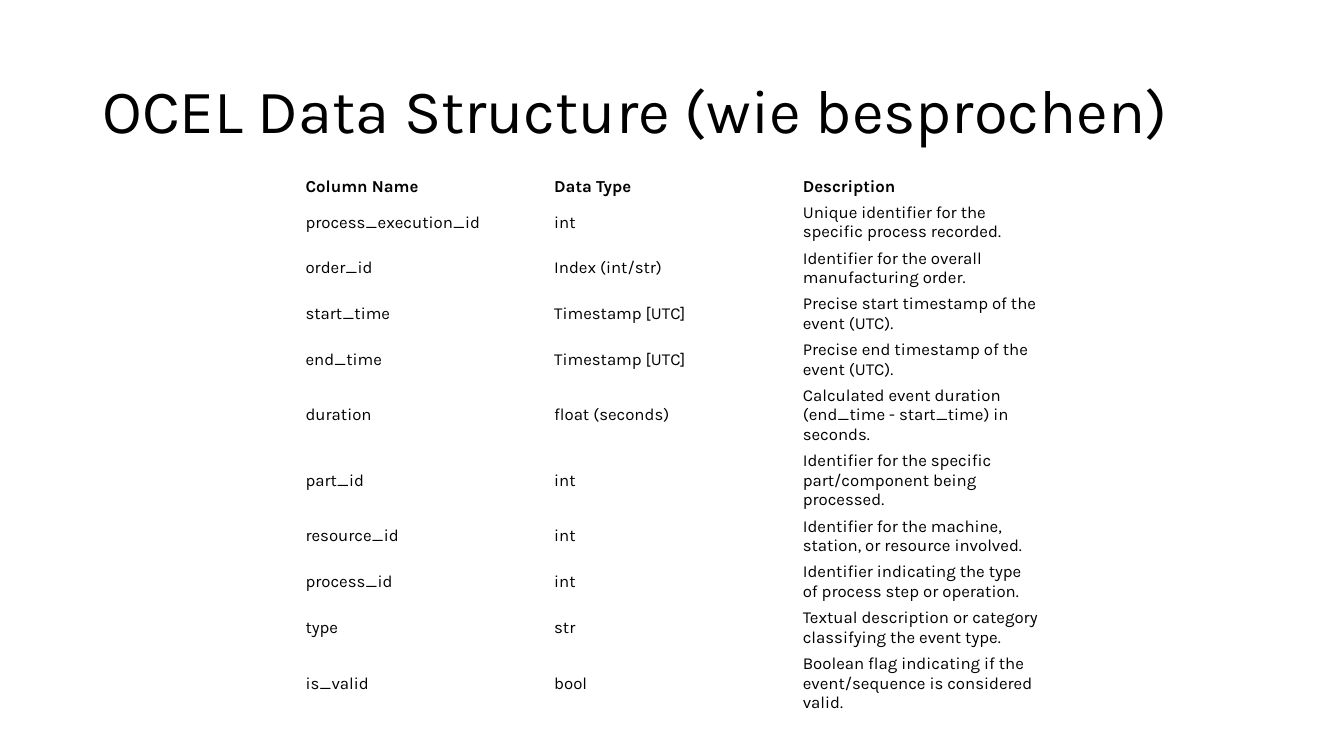
"""Build a slide with the column overview of the OCEL data structure."""
from lxml.etree import SubElement
from pptx import Presentation
from pptx.dml.color import RGBColor
from pptx.enum.text import MSO_ANCHOR, MSO_AUTO_SIZE, PP_ALIGN
from pptx.oxml.ns import qn
from pptx.util import Pt

TITLE = "OCEL Data Structure (wie besprochen)"
ROWS = [
    ("Column Name", "Data Type", "Description"),
    ("process_execution_id", "int", "Unique identifier for the specific process recorded."),
    ("order_id", "Index (int/str)", "Identifier for the overall manufacturing order."),
    ("start_time", "Timestamp [UTC]", "Precise start timestamp of the event (UTC)."),
    ("end_time", "Timestamp [UTC]", "Precise end timestamp of the event (UTC)."),
    ("duration", "float (seconds)", "Calculated event duration (end_time - start_time) in seconds."),
    ("part_id", "int", "Identifier for the specific part/component being processed."),
    ("resource_id", "int", "Identifier for the machine, station, or resource involved."),
    ("process_id", "int", "Identifier indicating the type of process step or operation."),
    ("type", "str", "Textual description or category classifying the event type."),
    ("is_valid", "bool", "Boolean flag indicating if the event/sequence is considered valid."),
]

BLACK = RGBColor(0x00, 0x00, 0x00)
WHITE = RGBColor(0xFF, 0xFF, 0xFF)
FONT = "Karla"
TITLE_BOX = {"left": Pt(66), "top": Pt(28.75), "width": Pt(828), "height": Pt(104.4)}
TITLE_FRAME = {"vertical_anchor": MSO_ANCHOR.MIDDLE, "word_wrap": True,
               "auto_size": MSO_AUTO_SIZE.NONE}
TITLE_PARAGRAPH = {"alignment": PP_ALIGN.LEFT, "line_spacing": 0.9}
CELL_FORMAT = {"margin_left": Pt(4.5), "margin_right": Pt(4.5), "margin_top": Pt(2.3),
               "margin_bottom": Pt(2.3), "vertical_anchor": MSO_ANCHOR.MIDDLE}
TABLE_FLAGS = {"first_row": False, "horz_banding": False}
TABLE_LEFT, TABLE_TOP = 213.8, 123.9
COLUMN_WIDTH, HEADER_HEIGHT, ROW_HEIGHT = 177.6, 18.6, 32.6
BORDER_WIDTH = Pt(0.75)


def apply_format(target, values):
    for name, value in values.items():
        setattr(target, name, value)


def format_font(font, size, bold=False):
    apply_format(font, {"name": FONT, "size": Pt(size), "bold": bold})
    font.color.rgb = BLACK


def add_borders(cell):
    properties = cell._tc.get_or_add_tcPr()
    for position, side in enumerate(("lnL", "lnR", "lnT", "lnB")):
        line = properties.makeelement(qn(f"a:{side}"), {"w": str(BORDER_WIDTH)})
        fill = SubElement(line, qn("a:solidFill"))
        SubElement(fill, qn("a:srgbClr"), val=str(WHITE))
        properties.insert(position, line)


def add_title(slide):
    title = slide.shapes.title
    apply_format(title, TITLE_BOX)
    apply_format(title.text_frame, TITLE_FRAME)
    paragraph = title.text_frame.paragraphs[0]
    apply_format(paragraph, TITLE_PARAGRAPH)
    run = paragraph.add_run()
    run.text = TITLE
    format_font(run.font, 44)


def add_column_table(slide):
    column_count = len(ROWS[0])
    heights = [HEADER_HEIGHT] + [ROW_HEIGHT] * (len(ROWS) - 1)
    table = slide.shapes.add_table(
        len(ROWS), column_count, Pt(TABLE_LEFT), Pt(TABLE_TOP),
        Pt(COLUMN_WIDTH * column_count), Pt(sum(heights))).table
    apply_format(table, TABLE_FLAGS)
    for column in table.columns:
        column.width = Pt(COLUMN_WIDTH)
    for row_index, (texts, height) in enumerate(zip(ROWS, heights)):
        table.rows[row_index].height = Pt(height)
        for column_index, text in enumerate(texts):
            cell = table.cell(row_index, column_index)
            apply_format(cell, CELL_FORMAT)
            cell.fill.background()
            add_borders(cell)
            run = cell.text_frame.paragraphs[0].add_run()
            run.text = text
            format_font(run.font, 12, bold=row_index == 0)


def main():
    presentation = Presentation()
    apply_format(presentation, {"slide_width": Pt(960), "slide_height": Pt(540)})
    slide = presentation.slides.add_slide(presentation.slide_layouts.get_by_name("Title Only"))
    add_title(slide)
    add_column_table(slide)
    presentation.save("out.pptx")


if __name__ == "__main__":
    main()
